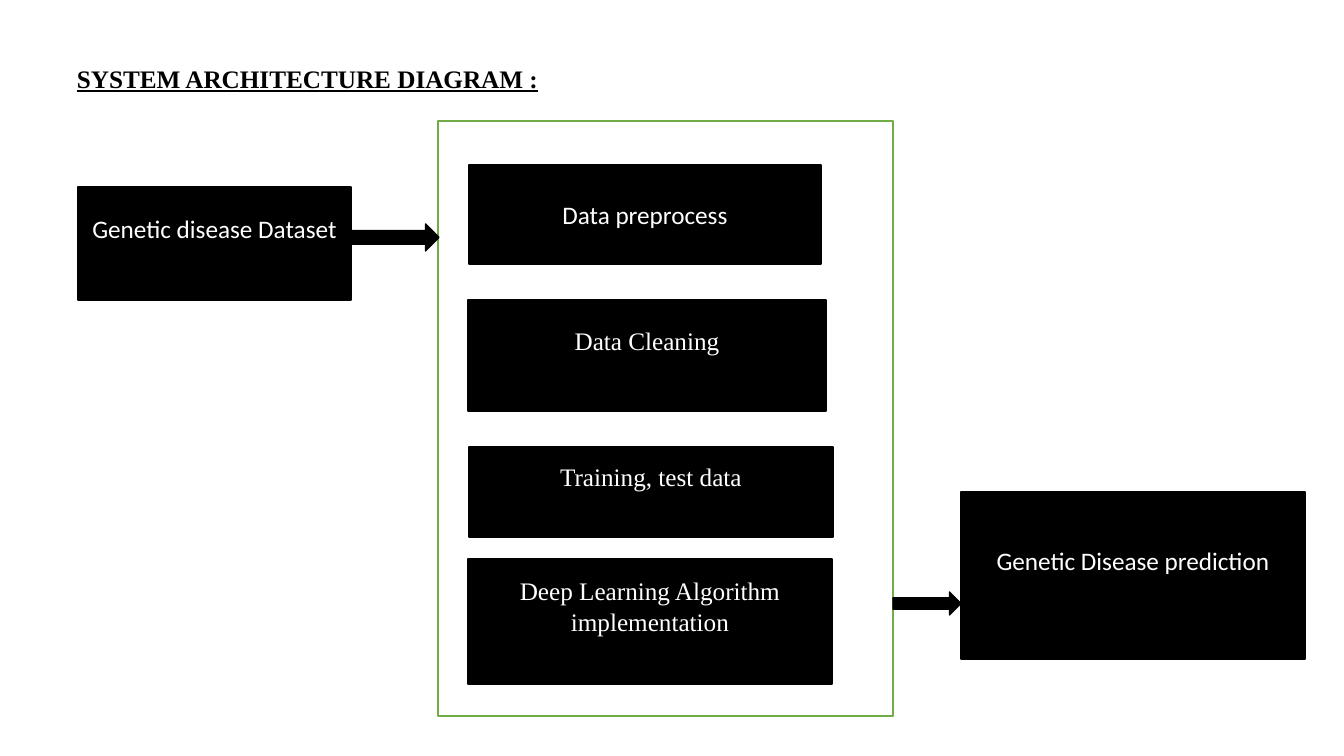
from dataclasses import dataclass

from pptx import Presentation
from pptx.dml.color import RGBColor
from pptx.enum.shapes import MSO_SHAPE as Shape
from pptx.enum.text import MSO_ANCHOR as Anchor, PP_ALIGN as Align
from pptx.util import Emu, Pt

EMU_PER_PX = 914400 / 100.8


@dataclass(frozen=True)
class Theme:
    ink: RGBColor = RGBColor(0, 0, 0)
    paper: RGBColor = RGBColor(255, 255, 255)
    frame: RGBColor = RGBColor(0x70, 0xAD, 0x47)
    sans: str = "Calibri"
    serif: str = "Times New Roman"
    text_size: int = 18
    line_width: int = 1


THEME = Theme()
BOTTOM_INSET = 5
RAISED_INSET = 36


@dataclass(frozen=True)
class Rect:
    left: int
    top: int
    width: int
    height: int


@dataclass(frozen=True)
class Step:
    text: str
    rect: Rect
    font: str = THEME.serif
    bottom: int = RAISED_INSET


TITLE = Rect(67, 58, 809, 72)
PIPELINE_FRAME = Rect(438, 121, 455, 595)
STEPS = [
    Step("Genetic disease Dataset", Rect(78, 187, 273, 113), THEME.sans),
    Step("Data preprocess", Rect(469, 165, 352, 99), THEME.sans, BOTTOM_INSET),
    Step("Data Cleaning", Rect(468, 300, 358, 111)),
    Step("Training, test data", Rect(469, 447, 364, 90)),
    Step("Deep Learning Algorithm implementation", Rect(468, 559, 364, 125)),
    Step("Genetic Disease prediction", Rect(961, 492, 344, 167), THEME.sans),
]
ARROWS = [Rect(893, 592, 68, 23), Rect(351, 224, 88, 27)]


def px(n: int) -> Emu:
    return Emu(round(n * EMU_PER_PX))


def place(rect: Rect) -> tuple[Emu, Emu, Emu, Emu]:
    return px(rect.left), px(rect.top), px(rect.width), px(rect.height)


def write(sp, text: str, *, font: str, color: RGBColor, align=Align.LEFT,
          anchor=Anchor.TOP, bottom: int = BOTTOM_INSET,
          bold: bool = False, underline: bool = False) -> None:
    tf = sp.text_frame
    tf.word_wrap = True
    tf.vertical_anchor = anchor
    tf.margin_bottom = px(bottom)
    p = tf.paragraphs[0]
    p.alignment = align
    r = p.add_run()
    r.text = text
    r.font.name = font
    r.font.size = Pt(THEME.text_size)
    r.font.color.rgb = color
    r.font.bold = bold
    r.font.underline = underline


def add_block(slide, rect: Rect, kind=Shape.RECTANGLE,
              fill: RGBColor = THEME.ink, line: RGBColor = THEME.ink):
    sp = slide.shapes.add_shape(kind, *place(rect))
    sp.shadow.inherit = False
    sp.fill.solid()
    sp.fill.fore_color.rgb = fill
    sp.line.color.rgb = line
    sp.line.width = Pt(THEME.line_width)
    return sp


def add_step(slide, step: Step) -> None:
    write(add_block(slide, step.rect), step.text, font=step.font,
          color=THEME.paper, align=Align.CENTER, anchor=Anchor.MIDDLE,
          bottom=step.bottom)


def main() -> None:
    prs = Presentation()
    prs.slide_width, prs.slide_height = px(1344), px(756)
    slide = prs.slides.add_slide(prs.slide_layouts[6])

    add_block(slide, PIPELINE_FRAME, fill=THEME.paper, line=THEME.frame)
    for step in STEPS:
        add_step(slide, step)
    write(slide.shapes.add_textbox(*place(TITLE)),
          "SYSTEM ARCHITECTURE DIAGRAM :", font=THEME.serif,
          color=THEME.ink, bold=True, underline=True)
    for arrow in ARROWS:
        add_block(slide, arrow, Shape.RIGHT_ARROW)

    prs.save("out.pptx")


if __name__ == "__main__":
    main()
